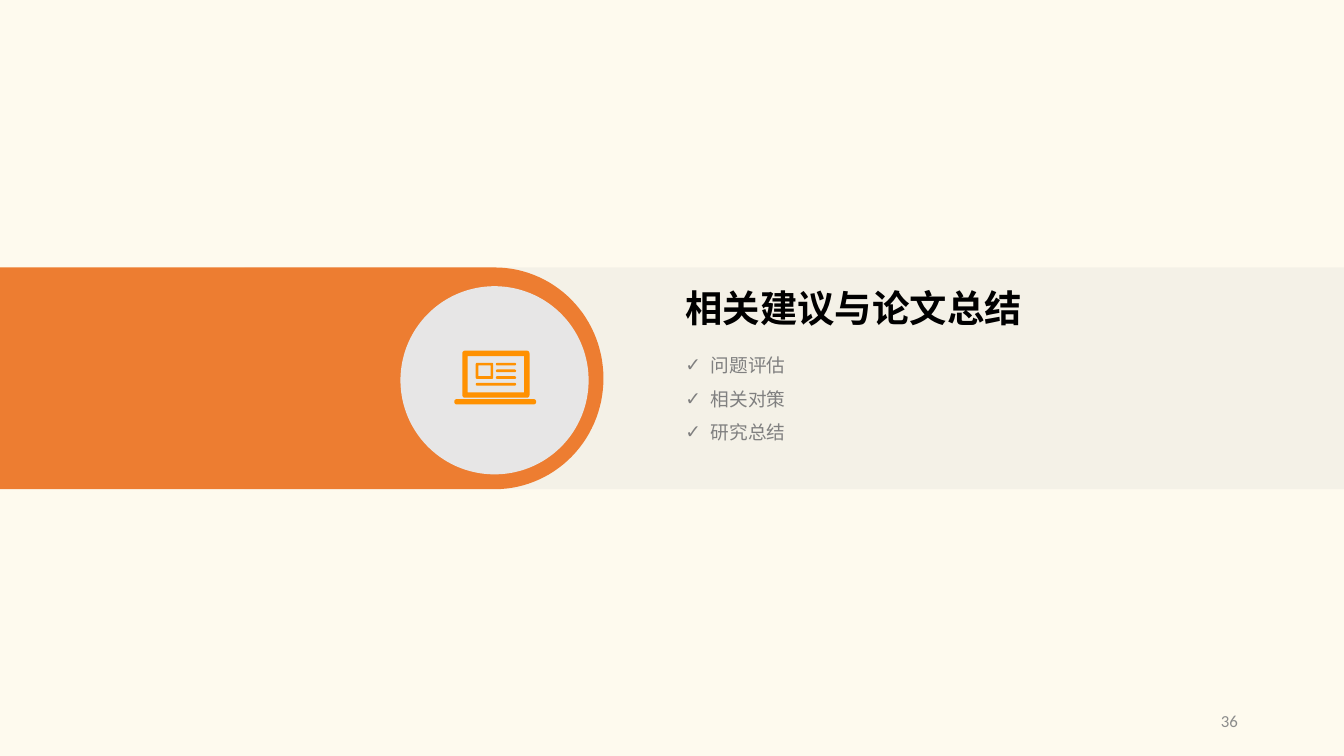
from math import cos, pi, sin

from lxml.etree import SubElement
from pptx import Presentation
from pptx.dml.color import RGBColor
from pptx.enum.shapes import MSO_SHAPE as SHAPE
from pptx.enum.text import MSO_ANCHOR as ANCHOR, MSO_AUTO_SIZE as AUTO, PP_ALIGN as ALIGN
from pptx.oxml.ns import qn
from pptx.util import Inches, Pt

TITLE = "相关建议与论文总结"
TOPICS = ["问题评估", "相关对策", "研究总结"]
PAGE = "36"
FONT = "Roboto Condensed"
COLORS = {"paper": "FEFAEE", "strip": "D0CECE", "tab": "ED7D31", "disc": "E7E6E6",
          "icon": "FF9101", "title": "000000", "topic": "808080", "page": "8C8C8C"}

W = 10
H = W * 9 / 16
BAND_TOP, BAND_H = 1.99, 1.65
TAB_X, TAB_R = 3.68, 0.81
TEXT_X = 5
LINE_H, LINE_GAP = 0.02, 0.05
LINES = [(3.69, 2.7 + i * LINE_GAP, 0.15, LINE_H, 0.01) for i in range(3)]
LAPTOP = [
    (3.44, 2.61, 0.5, 0.35, 0.02),
    (3.48, 2.65, 0.42, 0.27, 0),
    (3.54, 2.7, 0.13, 0.12, 0.01),
    (3.56, 2.72, 0.09, 0.08, 0),
    (3.54, 2.85, 0.3, LINE_H, 0.01),
    (3.38, 2.97, 0.61, 0.04, 0.02),
] + LINES


def rgb(name):
    return RGBColor.from_string(COLORS[name])


def paint(sp, color):
    sp.shadow.inherit = False
    sp.fill.solid()
    sp.fill.fore_color.rgb = rgb(color)
    sp.line.fill.background()
    return sp


def arc(cx, cy, rx, ry, start, end, steps):
    angles = [start + (end - start) * i / steps for i in range(steps + 1)]
    return [(cx + rx * cos(a), cy + ry * sin(a)) for a in angles]


def rounded(x, y, w, h, r):
    corners = [(x + w - r, y + h - r), (x + r, y + h - r), (x + r, y + r), (x + w - r, y + r)]
    return [pt for i, (cx, cy) in enumerate(corners)
            for pt in arc(cx, cy, r, r, i * pi / 2, (i + 1) * pi / 2, 6 if r else 1)]


def outline(s, contours, color):
    contours = [[(Inches(x), Inches(y)) for x, y in pts] for pts in contours]
    fb = s.shapes.build_freeform(*contours[0][0])
    for i, pts in enumerate(contours):
        if i:
            fb.move_to(*pts[0])
        fb.add_line_segments(pts[1:], close=True)
    return paint(fb.convert_to_shape(), color)


def write(sp, text, at, size, color, font=FONT, bold=False, align=ALIGN.LEFT,
          anchor=ANCHOR.TOP, fit=AUTO.SHAPE_TO_FIT_TEXT, spacing=1, bullet=None):
    sp.left, sp.top, sp.width, sp.height = map(Inches, at)
    tf = sp.text_frame
    tf.text = text
    tf.word_wrap, tf.auto_size, tf.vertical_anchor = True, fit, anchor
    for p in tf.paragraphs:
        p.alignment, p.line_spacing, p.space_before = align, spacing, Pt(0)
        if bullet:
            pPr = p._p.get_or_add_pPr()
            pPr.set("marL", str(Inches(0.19)))
            pPr.set("indent", str(-Inches(0.19)))
            SubElement(pPr, qn("a:buChar"), char=bullet)
        for r in p.runs:
            r.font.name, r.font.size, r.font.bold = font, Pt(size), bold
            r.font.color.rgb = rgb(color)
            SubElement(r.font._element, qn("a:ea"), typeface=font)


prs = Presentation()
prs.slide_width, prs.slide_height = Inches(W), Inches(H)
s = prs.slides.add_slide(prs.slide_layouts[1])
s.background.fill.solid()
s.background.fill.fore_color.rgb = rgb("paper")
title, body = s.placeholders

strip = paint(s.shapes.add_shape(SHAPE.RECTANGLE, Inches(1.82), Inches(BAND_TOP),
                                 Inches(W - 1.82), Inches(BAND_H)), "strip")
strip_color = strip.fill._xPr.find(qn("a:solidFill"))[0]
SubElement(strip_color, qn("a:alpha"), val="20000")

tab_end = arc(TAB_X, BAND_TOP + BAND_H / 2, TAB_R, BAND_H / 2, -pi / 2, pi / 2, 60)
outline(s, [[(0, BAND_TOP)] + tab_end + [(0, BAND_TOP + BAND_H)]], "tab")

for sp in (body, title):
    s.shapes._spTree.append(sp._element)
write(body, "\n".join(TOPICS), (TEXT_X, 2.5, 1.1, 0.86), 10, "topic",
      spacing=1.5, bullet="✓")
write(title, TITLE, (TEXT_X, 2.07, 3.23, 0.44), 20, "title", bold=True)

paint(s.shapes.add_shape(SHAPE.OVAL, Inches(2.98), Inches(2.13), Inches(1.4), Inches(1.4)), "disc")
outline(s, [rounded(*part) for part in LAPTOP], "icon")

write(s.shapes.add_textbox(0, 0, 0, 0), PAGE, (7.06, 5.21, 2.25, 0.3), 9, "page",
      font="Calibri", align=ALIGN.RIGHT, anchor=ANCHOR.MIDDLE, fit=AUTO.NONE)

prs.save("out.pptx")
